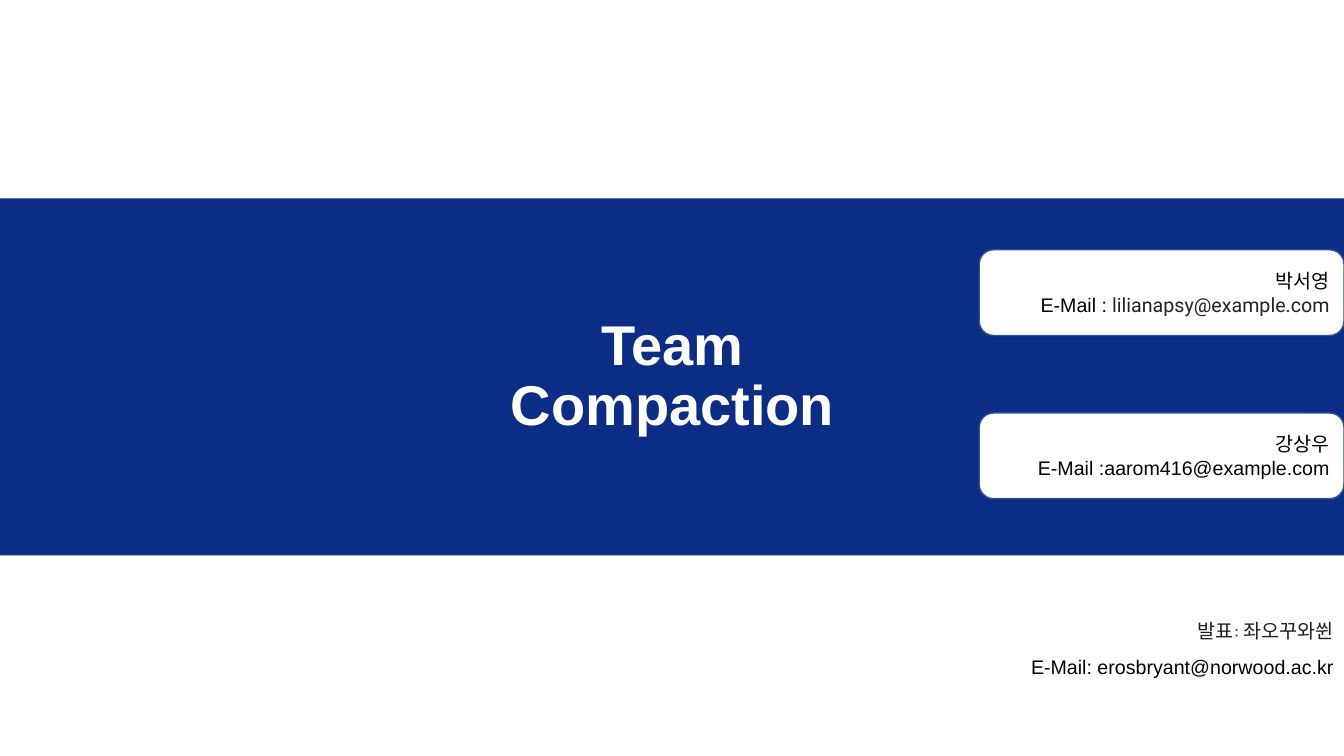
from pptx import Presentation
from pptx.dml.color import RGBColor
from pptx.enum.shapes import MSO_SHAPE
from pptx.enum.text import MSO_ANCHOR, MSO_AUTO_SIZE, PP_ALIGN
from pptx.util import Pt

NAVY = RGBColor(0x0B, 0x2D, 0x86)
OUTLINE = RGBColor(0x32, 0x54, 0x91)
WHITE = RGBColor(0xFF, 0xFF, 0xFF)
BLACK = RGBColor(0x00, 0x00, 0x00)
CHARCOAL = RGBColor(0x1F, 0x20, 0x25)
GRAY = RGBColor(0x22, 0x22, 0x22)


def add_text(paragraph, text, font="Arial", size=14, color=BLACK, bold=False,
             align=PP_ALIGN.RIGHT, line_spacing=1.0, space_before=0):
    paragraph.alignment = align
    paragraph.line_spacing = line_spacing
    paragraph.space_before = Pt(space_before)
    for index, line in enumerate(text.split("\n")):
        if index:
            paragraph.add_line_break()
        run = paragraph.add_run()
        run.text = line
        run.font.name = font
        run.font.size = Pt(size)
        run.font.bold = bold
        run.font.color.rgb = color


def add_box(slide, kind, left, top, width, height, fill, line=None):
    shape = slide.shapes.add_shape(kind, Pt(left), Pt(top), Pt(width), Pt(height))
    shape.shadow.inherit = False
    shape.fill.solid()
    shape.fill.fore_color.rgb = fill
    if line is None:
        shape.line.fill.background()
    else:
        shape.line.color.rgb = line
        shape.line.width = Pt(1)
    return shape


def place(placeholder, left, top, width, height, anchor):
    placeholder.left, placeholder.top = Pt(left), Pt(top)
    placeholder.width, placeholder.height = Pt(width), Pt(height)
    frame = placeholder.text_frame
    frame.word_wrap = True
    frame.auto_size = MSO_AUTO_SIZE.NONE
    frame.vertical_anchor = anchor
    return frame


def add_member_card(slide, top, name, email_runs):
    card = add_box(slide, MSO_SHAPE.ROUNDED_RECTANGLE, 699.5, top, 260.5, 61.2,
                   WHITE, OUTLINE)
    frame = card.text_frame
    frame.vertical_anchor = MSO_ANCHOR.MIDDLE
    add_text(frame.paragraphs[0], name)
    email = frame.add_paragraph()
    for text, font, color in email_runs:
        add_text(email, text, font=font, color=color)


def main():
    presentation = Presentation()
    presentation.slide_width, presentation.slide_height = Pt(960), Pt(540)
    slide = presentation.slides.add_slide(presentation.slide_layouts[0])

    band = add_box(slide, MSO_SHAPE.RECTANGLE, 0, 141.8, 960, 255, NAVY)
    slide.shapes.title.element.addprevious(band.element)

    title = place(slide.shapes.title, 125.3, 190, 710, 159, MSO_ANCHOR.MIDDLE)
    add_text(title.paragraphs[0], "Team\nCompaction", size=40, color=WHITE,
             bold=True, align=PP_ALIGN.CENTER, line_spacing=0.9)

    speaker = place(slide.placeholders[1], 492.5, 411.8, 467.5, 76.3, MSO_ANCHOR.BOTTOM)
    add_text(speaker.paragraphs[0], "발표: 좌오꾸와쒼", font="Manrope",
             color=CHARCOAL, line_spacing=0.9, space_before=10)
    add_text(speaker.add_paragraph(), "E-Mail: erosbryant@norwood.ac.kr",
             line_spacing=0.9, space_before=10)

    add_member_card(slide, 295, "강상우",
                    [("E-Mail :aarom416@example.com", "Arial", BLACK)])
    add_member_card(slide, 178.4, "박서영",
                    [("E-Mail :", "Arial", BLACK),
                     (" lilianapsy@example.com", "Roboto", GRAY)])

    presentation.save("out.pptx")


if __name__ == "__main__":
    main()
